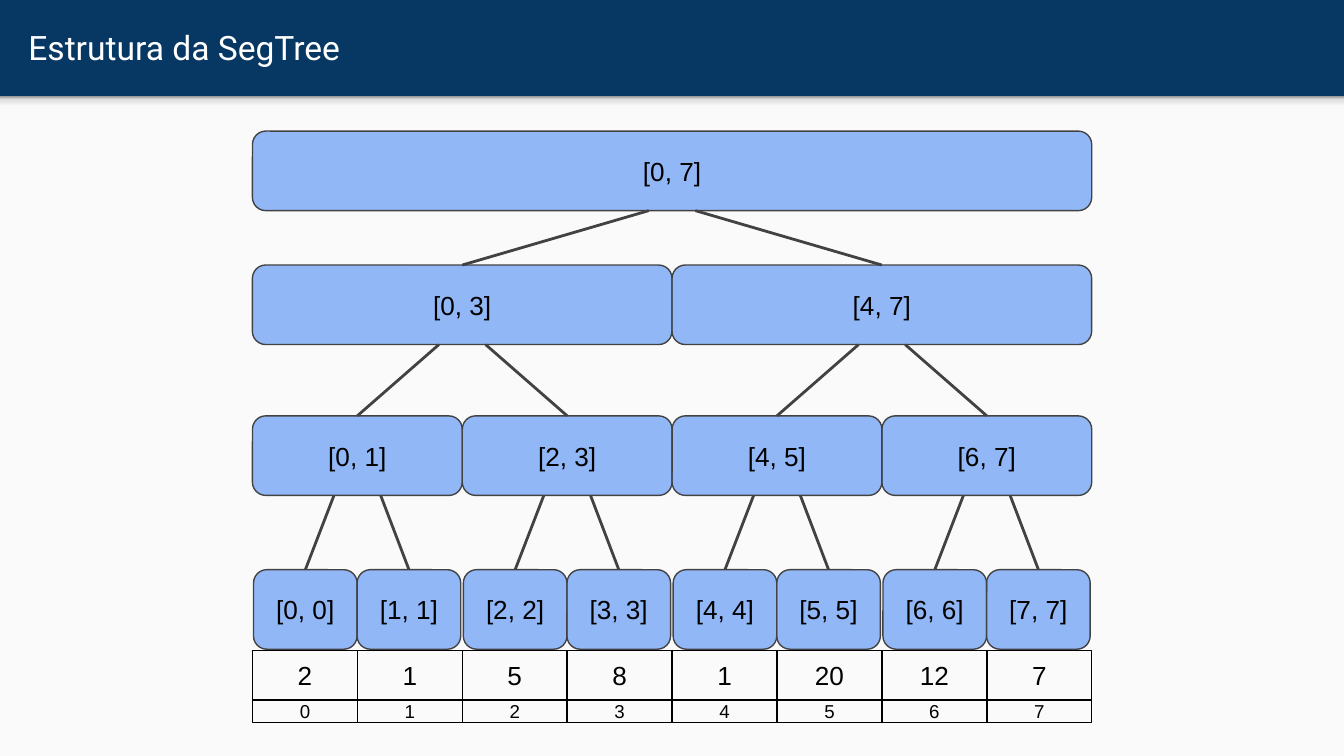
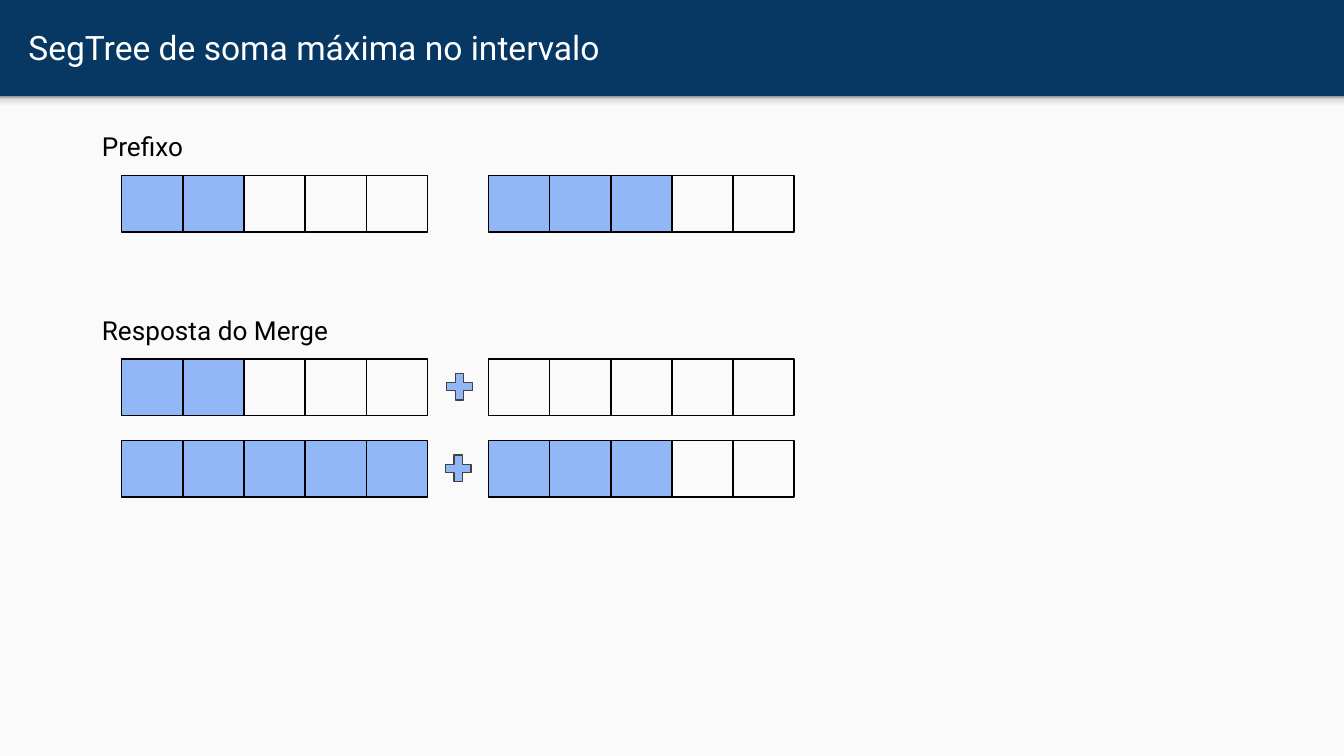
from lxml.etree import SubElement
from pptx import Presentation
from pptx.dml.color import RGBColor
from pptx.enum.shapes import MSO_CONNECTOR, MSO_SHAPE
from pptx.enum.text import MSO_ANCHOR, MSO_AUTO_SIZE, PP_ALIGN
from pptx.oxml.ns import qn
from pptx.util import Pt

RECT, ROUND, PLUS = MSO_SHAPE.RECTANGLE, MSO_SHAPE.ROUNDED_RECTANGLE, MSO_SHAPE.MATH_PLUS
LINE = MSO_CONNECTOR.STRAIGHT
TOP, MIDDLE = MSO_ANCHOR.TOP, MSO_ANCHOR.MIDDLE
LEFT, CENTER = PP_ALIGN.LEFT, PP_ALIGN.CENTER
FIXED, GROW = MSO_AUTO_SIZE.NONE, MSO_AUTO_SIZE.SHAPE_TO_FIT_TEXT

NAVY, PAPER, BLUE, GRAY = "073763", "FAFAFA", "4285F4", "424242"
BLACK, WHITE = "000000", "FFFFFF"
SHADE = [(0, "F9F9F9"), (36, "F9F9F9"), (80, "DEDEDE"), (100, "999999")]
WIDE, HIGH, BAND = 720, 405, 51.6


def color(code):
    return RGBColor.from_string(code)


class Deck:
    def __init__(self):
        self.prs = Presentation()
        self.prs.slide_width, self.prs.slide_height = Pt(WIDE), Pt(HIGH)
        self.page = None

    def slide(self, title):
        """Start a slide with the navy band, its shadow and the title."""
        self.page = self.prs.slides.add_slide(self.prs.slide_layouts[5])
        back = self.page.background.fill
        back.solid()
        back.fore_color.rgb = color(NAVY)
        self.shape(RECT, 0, BAND, WIDE, HIGH - BAND, fill=PAPER)
        self.fade(self.shape(RECT, 0, BAND, WIDE, 8.5))
        head = self.page.shapes.title
        head.left, head.top, head.width, head.height = Pt(8), Pt(1.5), Pt(695), Pt(47.5)
        self.text(head, title, 18, "Roboto", WHITE, LEFT, MIDDLE)

    def fade(self, shape):
        shape.fill.gradient()
        shape.fill.gradient_angle = 90
        stops = shape._element.spPr.find(qn("a:gradFill")).find(qn("a:gsLst"))
        stops.clear()
        for place, code in SHADE:
            stop = SubElement(stops, qn("a:gs"), pos=str(place * 1000))
            SubElement(stop, qn("a:srgbClr"), val=code)

    def text(self, shape, words, size, font, ink, align, anchor, fit=FIXED):
        frame = shape.text_frame
        frame.text = words
        frame.word_wrap = True
        frame.auto_size = fit
        frame.vertical_anchor = anchor
        frame.margin_left = frame.margin_right = Pt(7.2)
        frame.margin_top = frame.margin_bottom = Pt(7.2)
        par = frame.paragraphs[0]
        par.alignment = align
        style = par.runs[0].font
        style.size, style.name = Pt(size), font
        style.color.rgb = color(ink)

    def shape(self, kind, x, y, w, h, fill=None, alpha=None, line=None):
        item = self.page.shapes.add_shape(kind, Pt(x), Pt(y), Pt(w), Pt(h))
        item.shadow.inherit = False
        if fill:
            item.fill.solid()
            item.fill.fore_color.rgb = color(fill)
        else:
            item.fill.background()
        if alpha:
            tone = item._element.spPr.find(qn("a:solidFill"))[0]
            SubElement(tone, qn("a:alpha"), val=str(alpha * 1000))
        if line:
            item.line.color.rgb = color(line)
            item.line.width = Pt(0.75)
        else:
            item.line.fill.background()
        return item

    def node(self, words, x, y, w, h):
        item = self.shape(ROUND, x, y, w, h, BLUE, 57, GRAY)
        self.text(item, words, 14, "Arial", BLACK, CENTER, MIDDLE)

    def cell(self, x, y, w, h, words="", size=14, full=False):
        tint = (BLUE, 57) if full else (None, None)
        item = self.shape(RECT, x, y, w, h, *tint, BLACK)
        if words:
            self.text(item, words, size, "Arial", BLACK, CENTER, MIDDLE)

    def strip(self, x, y, count):
        """Five cells, the first ones filled."""
        for i in range(5):
            self.cell(x + i * STEP, y, STEP, 30.25, full=i < count)

    def plus(self, x, y):
        self.shape(PLUS, x, y, 18.9, 19.3, BLUE, 57, GRAY)

    def label(self, words, x, y):
        box = self.page.shapes.add_textbox(Pt(x), Pt(y), Pt(296), Pt(31.5))
        self.text(box, words, 14, "Roboto", BLACK, LEFT, TOP, GROW)

    def edge(self, x1, y1, x2, y2):
        item = self.page.shapes.add_connector(LINE, Pt(x1), Pt(y1), Pt(x2), Pt(y2))
        item.line.color.rgb = color(GRAY)
        item.line.width = Pt(1.5)
        SubElement(item._element.spPr, qn("a:effectLst"))


# Tree layout
VALUES = [2, 1, 5, 8, 1, 20, 12, 7]
START, UNIT, TALL = 135.25, 56.2, 42.6
LEVELS = [70.25, 142, 222.8, 305.2]
LEAF = 55.5

# Strip layout
STEP = 32.75
SIDES = (65.25, 261.75)


def place(level, i):
    """Left edge and width of node i on a level."""
    if level == len(LEVELS) - 1:
        return START + 0.6 + i // 2 * 2 * UNIT + i % 2 * LEAF, LEAF
    wide = UNIT * len(VALUES) / 2 ** level
    return START + i * wide, wide


def tree(deck):
    deck.slide("Estrutura da SegTree")
    for level, y in enumerate(LEVELS):
        span = len(VALUES) // 2 ** level
        for i in range(2 ** level):
            x, w = place(level, i)
            deck.node(f"[{i * span}, {(i + 1) * span - 1}]", x, y, w, TALL)
            if level:
                # Join the node to its parent
                px, pw = place(level - 1, i // 2)
                shift = 12.5 if i % 2 else -12.5
                deck.edge(px + pw / 2 + shift, LEVELS[level - 1] + TALL, x + w / 2, y)
    # Array values and indexes
    for i, value in enumerate(VALUES):
        x = START + i * UNIT
        deck.cell(x, 348.5, UNIT, 26.5, str(value))
        deck.cell(x, 375, UNIT, 12.2, str(i), 10)


def merge(deck):
    deck.slide("SegTree de soma máxima no intervalo")
    deck.label("Prefixo", 47.5, 62.75)
    deck.label("Resposta do Merge", 47.5, 161)
    for y, counts in ((94, (2, 3)), (192.25, (2, 0)), (236, (5, 3))):
        for x, count in zip(SIDES, counts):
            deck.strip(x, y, count)
    deck.plus(236.75, 197.5)
    deck.plus(236, 241.25)


def main():
    deck = Deck()
    tree(deck)
    merge(deck)
    deck.prs.save("out.pptx")


if __name__ == "__main__":
    main()
